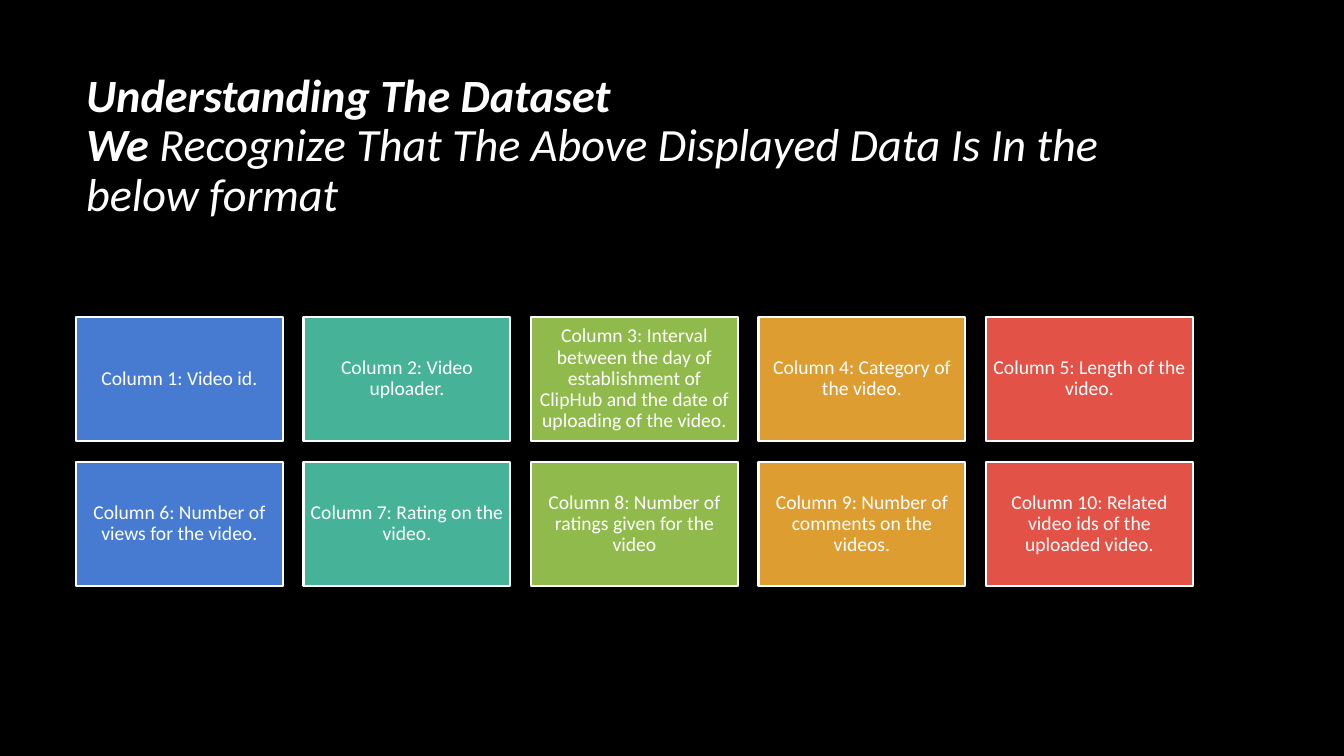
from lxml.etree import SubElement
from pptx import Presentation
from pptx.dml.color import RGBColor
from pptx.enum.shapes import MSO_SHAPE
from pptx.enum.text import MSO_ANCHOR, MSO_AUTO_SIZE, PP_ALIGN
from pptx.oxml.ns import qn
from pptx.util import Pt

PX = 9144000 / 1008  # EMU in one px
BLACK = RGBColor(0x00, 0x00, 0x00)
WHITE = RGBColor(0xFF, 0xFF, 0xFF)
BLUE = RGBColor(0x47, 0x7B, 0xD1)
TEAL = RGBColor(0x46, 0xB2, 0x98)
GREEN = RGBColor(0x90, 0xBA, 0x4C)
ORANGE = RGBColor(0xDD, 0x9D, 0x31)
RED = RGBColor(0xE2, 0x52, 0x47)


def px(n):
    return round(n * PX)


def add_text(p, text, size=14, bold=False, italic=False, align=PP_ALIGN.CENTER):
    p.alignment = align
    p.line_spacing = 0.9
    r = p.add_run()
    r.text = text
    r.font.name = "Calibri"
    r.font.size = Pt(size)
    r.font.bold = bold
    r.font.italic = italic
    r.font.color.rgb = WHITE


prs = Presentation()
prs.slide_width, prs.slide_height = px(1344), px(756)
s = prs.slides.add_slide(prs.slide_layouts[5])
s.background.fill.solid()
s.background.fill.fore_color.rgb = BLACK

# Title
LEFT, WIDTH = 76, 1117
title = s.shapes.title
title.left, title.top, title.width, title.height = px(LEFT), px(67), px(WIDTH), px(160)
tf = title.text_frame
tf.word_wrap = True
tf.auto_size = MSO_AUTO_SIZE.NONE
tf.vertical_anchor = MSO_ANCHOR.MIDDLE
p = tf.paragraphs[0]
heading = dict(size=33, italic=True, align=PP_ALIGN.LEFT)
add_text(p, "Understanding The Dataset", bold=True, **heading)
p.add_line_break()
# The break needs the heading size, or it stretches the first line
SubElement(p._p.find(qn("a:br")), qn("a:rPr"), sz="3300")
add_text(p, "We", bold=True, **heading)
add_text(p, " Recognize That The Above Displayed Data Is In the below format", **heading)

# Dataset columns: two rows of five boxes
COLORS = [BLUE, TEAL, GREEN, ORANGE, RED]
COLUMNS = [
    "Video id.",
    "Video uploader.",
    "Interval between the day of establishment of ClipHub and the date of uploading of the video.",
    "Category of the video.",
    "Length of the video.",
    "Number of views for the video.",
    "Rating on the video.",
    "Number of ratings given for the video",
    "Number of comments on the videos.",
    "Related video ids of the uploaded video.",
]
TOP, BOX_W, BOX_H, ROW_STEP = 317, 207, 124, 145
COL_STEP = (WIDTH - BOX_W) / (len(COLORS) - 1)

for i, meaning in enumerate(COLUMNS):
    row, col = divmod(i, len(COLORS))
    sp = s.shapes.add_shape(MSO_SHAPE.RECTANGLE, px(LEFT + col * COL_STEP),
                            px(TOP + row * ROW_STEP), px(BOX_W), px(BOX_H))
    sp.shadow.inherit = False
    sp.fill.solid()
    sp.fill.fore_color.rgb = COLORS[col]
    sp.line.color.rgb = WHITE
    sp.line.width = Pt(1.5)
    tf = sp.text_frame
    tf.word_wrap = True
    tf.vertical_anchor = MSO_ANCHOR.MIDDLE
    tf.margin_left = tf.margin_right = tf.margin_top = tf.margin_bottom = px(6)
    add_text(tf.paragraphs[0], f"Column {i + 1}: {meaning}")

prs.save("out.pptx")
